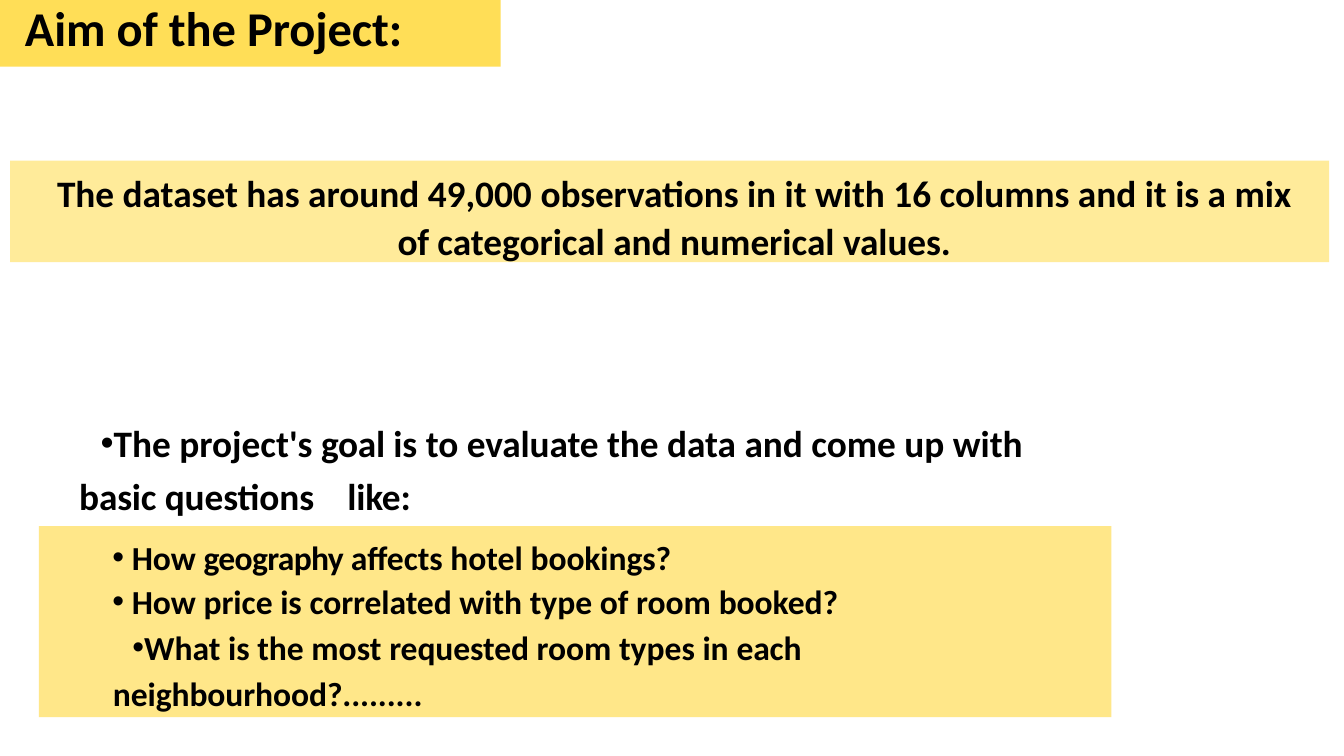
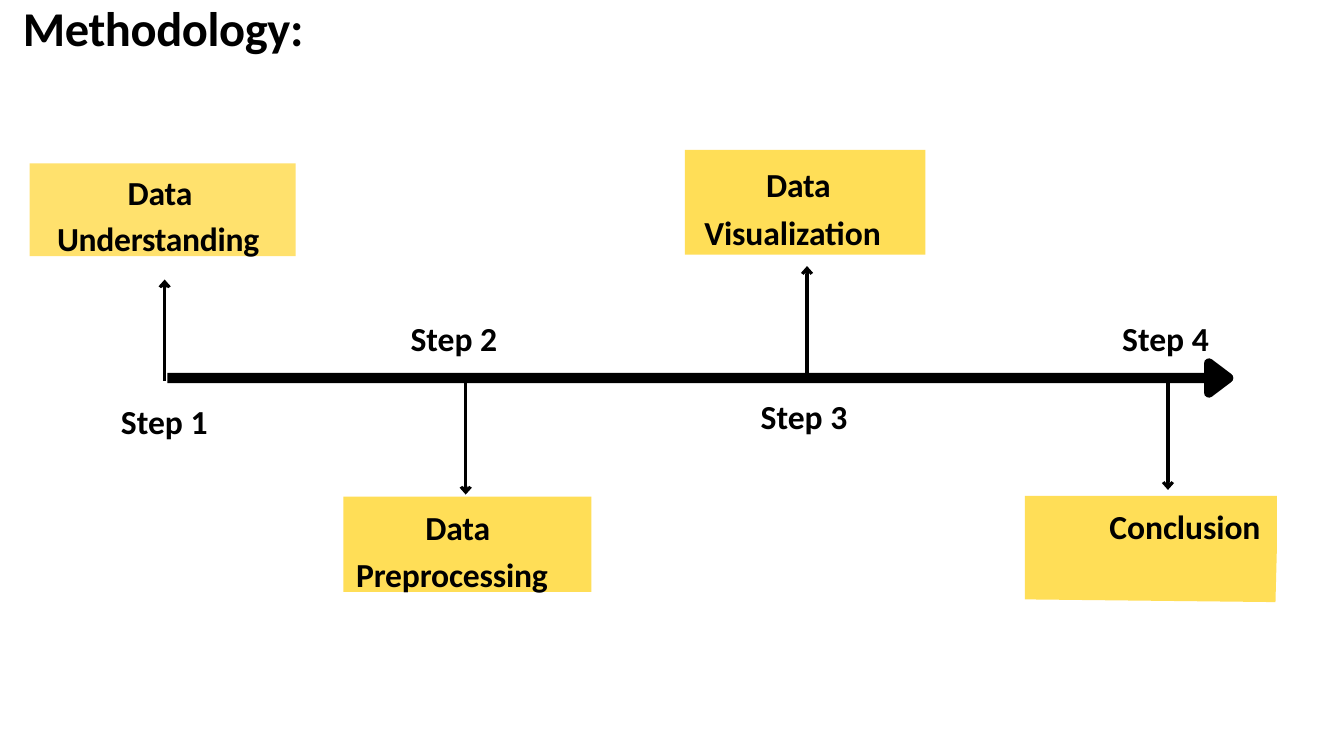
from dataclasses import dataclass
from typing import NamedTuple, Optional, Sequence

from pptx import Presentation
from pptx.dml.color import RGBColor
from pptx.enum.shapes import MSO_CONNECTOR as Connector, MSO_SHAPE as Preset
from pptx.enum.text import MSO_ANCHOR as Anchor, PP_ALIGN as Align
from pptx.oxml.ns import qn
from pptx.oxml.xmlchemy import OxmlElement
from pptx.util import Pt


# Theme: colours, font and type sizes
@dataclass(frozen=True)
class Theme:
    yellow: str = "FFDE57"
    pale_yellow: str = "FFE16D"
    black: str = "000000"
    font: str = "Calibri"
    bullet_font: str = "Arial"
    title_size: float = 52
    lead_size: float = 40
    body_size: float = 36
    arrow_width: float = 3.75
    tip_width: float = 10.5


THEME = Theme()


class Box(NamedTuple):
    left: float
    top: float
    width: float
    height: float


class Run(NamedTuple):
    text: str
    spacing: float = 0


@dataclass(frozen=True)
class Step:
    label: Box
    arrow_x: float
    arrow_start: float
    arrow_end: float


@dataclass(frozen=True)
class StepCard:
    box: Box
    runs: Sequence[Run]
    margin: float
    indent: float
    inset: float
    before: float
    line_spacing: float
    color: str = THEME.yellow


# Text
def write_paragraph(frame, runs: Sequence[Run], *, size: float,
                    align: Align = Align.LEFT, margin: float = 0,
                    indent: float = 0, right: float = 0, before: float = 1,
                    line_spacing: Optional[float] = None, bullet: bool = False) -> None:
    paragraph = frame.paragraphs[0]
    if paragraph.runs:
        paragraph = frame.add_paragraph()
    paragraph.alignment = align
    paragraph.space_before = Pt(before)
    if line_spacing:
        paragraph.line_spacing = line_spacing
    properties = paragraph._p.get_or_add_pPr()
    for name, length in (("marL", margin), ("marR", right), ("indent", indent)):
        properties.set(name, str(Pt(length)))
    if bullet:
        for tag, name, value in (("a:buFont", "typeface", THEME.bullet_font),
                                 ("a:buChar", "char", "•")):
            element = OxmlElement(tag)
            element.set(name, value)
            properties.append(element)
    for text, spacing in runs:
        run = paragraph.add_run()
        run.text = text
        run.font.name = THEME.font
        run.font.size = Pt(size)
        run.font.bold = True
        run.font.color.rgb = RGBColor.from_string(THEME.black)
        if spacing:
            run._r.get_or_add_rPr().set("spc", str(round(spacing * 100)))


def prepare_frame(shape, inset: float):
    frame = shape.text_frame
    frame.word_wrap = True
    frame.vertical_anchor = Anchor.TOP
    frame.margin_left = frame.margin_right = frame.margin_bottom = 0
    frame.margin_top = Pt(inset)
    return frame


def add_text_box(slide, box: Box):
    return prepare_frame(slide.shapes.add_textbox(*map(Pt, box)), 1)


def add_title(slide, runs: Sequence[Run], margin: float) -> None:
    frame = add_text_box(slide, Box(13.7, -3.6, 1413.4, 74.9))
    write_paragraph(frame, runs, size=THEME.title_size, margin=margin)


# Shapes
def paint(shape, color: str, opacity: int = 100) -> None:
    shape.shadow.inherit = False
    shape.fill.solid()
    shape.fill.fore_color.rgb = RGBColor.from_string(color)
    shape.line.fill.background()
    if opacity < 100:
        alpha = OxmlElement("a:alpha")
        alpha.set("val", str(opacity * 1000))
        shape._element.spPr.find(qn("a:solidFill"))[0].append(alpha)


def add_panel(slide, box: Box, color: str, *, inset: float = 0, opacity: int = 100):
    shape = slide.shapes.add_shape(Preset.RECTANGLE, *map(Pt, box))
    paint(shape, color, opacity)
    return prepare_frame(shape, inset)


def add_outline(slide, points: Sequence[tuple[float, float]], color: str):
    first, *others = [(Pt(x), Pt(y)) for x, y in points]
    builder = slide.shapes.build_freeform(*first)
    builder.add_line_segments(others, close=True)
    shape = builder.convert_to_shape()
    paint(shape, color)
    return shape


def add_arrow(slide, x: float, start: float, end: float) -> None:
    arrow = slide.shapes.add_connector(Connector.STRAIGHT, Pt(x), Pt(start), Pt(x), Pt(end))
    arrow.line.color.rgb = RGBColor.from_string(THEME.black)
    arrow.line.width = Pt(THEME.arrow_width)
    head = OxmlElement("a:tailEnd")
    for name, value in (("type", "arrow"), ("w", "med"), ("len", "sm")):
        head.set(name, value)
    arrow.line._get_or_add_ln().append(head)
    arrow._element.spPr.append(OxmlElement("a:effectLst"))


def add_timeline(slide) -> None:
    add_panel(slide, Box(179.3, 399.6, 1111, 10.8), THEME.black)
    tip = add_outline(slide, [(1295.3, 389.2), (1316.2, 405), (1295.3, 420.8)], THEME.black)
    tip.line.color.rgb = RGBColor.from_string(THEME.black)
    tip.line.width = Pt(THEME.tip_width)
    tip.line._get_or_add_ln().append(OxmlElement("a:round"))


presentation = Presentation()
presentation.slide_width = Pt(1440)
presentation.slide_height = Pt(810)
blank_layout = presentation.slide_layouts[6]

# Slide 1: aim of the project
slide = presentation.slides.add_slide(blank_layout)
add_panel(slide, Box(0, 0, 536.4, 71.3), THEME.yellow)
add_title(slide, [Run("Aim of the "), Run("Project:", -0.1)], margin=13)

dataset = add_panel(slide, Box(10.8, 172.1, 1413.4, 108.7), THEME.yellow,
                    inset=7.2, opacity=60)
write_paragraph(dataset, [
    Run("The dataset has around 49,000 "), Run("observations ", -0.1),
    Run("in it with 16 columns and it is a mix "), Run("of ", -0.2),
    Run("categorical and numerical "), Run("values.", -0.1),
], size=THEME.lead_size, align=Align.CENTER, margin=33.8, right=24,
    before=6.9, line_spacing=1.07)

goal = add_text_box(slide, Box(84.2, 440.6, 1100.9, 115.2))
write_paragraph(goal, [
    Run("The project's "), Run("goal ", -0.3), Run("is to "), Run("evaluate ", -0.1),
    Run("the data and come up with "), Run("basic ", -0.2),
    Run("questions\t", -0.1), Run("like:", -0.2),
], size=THEME.lead_size, margin=0.7, indent=23, right=40, line_spacing=1.18, bullet=True)

questions = add_panel(slide, Box(41.8, 563.8, 1149.1, 204.5), THEME.yellow,
                      inset=11.5, opacity=70)
hanging = dict(size=THEME.body_size, margin=99.4, indent=-20.9, bullet=True)
write_paragraph(questions, [
    Run("How "), Run("geography ", -0.7), Run("affects hotel "), Run("bookings?", -0.1),
], before=11.5, **hanging)
write_paragraph(questions, [
    Run("How price is "), Run("correlated ", -0.1),
    Run("with type of room "), Run("booked?", -0.1),
], before=3.6, **hanging)
write_paragraph(questions, [
    Run("What is the most "), Run("requested ", -0.1), Run("room types in "),
    Run("each ", -0.2), Run("neighbourhood?.........", -0.1),
], size=THEME.body_size, margin=79.2, indent=20.9, right=200, before=0,
    line_spacing=1.15, bullet=True)

# Slide 2: methodology
slide = presentation.slides.add_slide(blank_layout)
add_timeline(slide)
add_title(slide, [Run("Methodology:", -0.4)], margin=10.8)

# Cards of the first three steps
cards = [
    StepCard(Box(31.7, 175, 285.1, 99.4), [Run("Data ", -0.2), Run("Understanding", -0.3)],
             29.5, 75.6, 2.2, 2.1, 1.15, THEME.pale_yellow),
    StepCard(Box(367.9, 532.1, 265.7, 102.2), [Run("Data Preprocessing", -0.2)],
             13.7, 74.2, 4.3, 4, 1.16),
    StepCard(Box(733.7, 160.6, 257.8, 112.3), [Run("Data ", -0.2), Run("Visualization", -0.1)],
             20.9, 66.2, 7.2, 7.3, 1.18),
]
for card in cards:
    frame = add_panel(slide, card.box, card.color, inset=card.inset)
    write_paragraph(frame, card.runs, size=THEME.body_size, margin=card.margin,
                    indent=card.indent, before=card.before, line_spacing=card.line_spacing)

# Conclusion card with its slanted edge
add_outline(slide, [(1368, 531.4), (1098, 531.4), (1098, 642.2),
                    (1366.6, 645.1), (1368, 591.1)], THEME.yellow)
conclusion = add_text_box(slide, Box(1188, 541.4, 164.9, 45.4))
write_paragraph(conclusion, [Run("Conclusion", -0.1)], size=THEME.body_size, margin=0.7)

# Step labels and arrows
steps = [
    Step(Box(128.9, 428.4, 95.8, 45.4), 176.4, 408.2, 299.5),
    Step(Box(439.2, 339.8, 95.8, 45.4), 499, 409, 529.9),
    Step(Box(814.3, 423.4, 95.8, 45.4), 864.7, 403.2, 285.1),
    Step(Box(1201.7, 339.8, 95.8, 45.4), 1251.4, 401.8, 524.9),
]
for number, step in enumerate(steps, start=1):
    add_arrow(slide, step.arrow_x, step.arrow_start, step.arrow_end)
    write_paragraph(add_text_box(slide, step.label), [Run("Step "), Run(str(number), -0.5)],
                    size=THEME.body_size, margin=0.7)

presentation.save("out.pptx")
